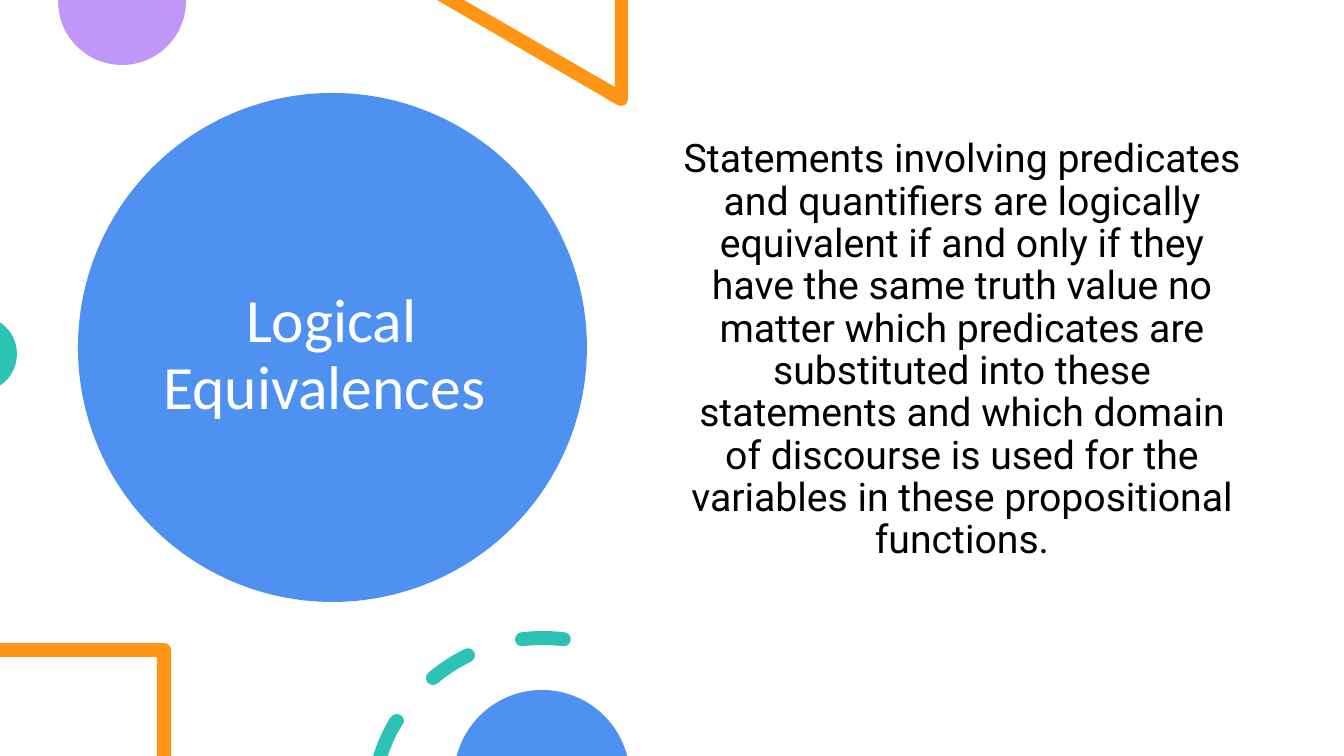
import math

import pptx
import pptx.dml.color
import pptx.enum.shapes
import pptx.enum.text
import pptx.util
import lxml.etree

PX = 9525 / 1.05
WIDTH, HEIGHT = 1344, 756
BLUE, TEAL, ORANGE, PURPLE, WHITE = "4E91F0", "2CC3B4", "FF9514", "C097F8", "FFFFFF"

prs = pptx.Presentation()
prs.slide_width = round(WIDTH * PX)
prs.slide_height = round(HEIGHT * PX)
s = prs.slides.add_slide(prs.slide_layouts[1])


def paint(fill, colour):
    fill.solid()
    fill.fore_color.rgb = pptx.dml.color.RGBColor.from_string(colour)


def arc(cx, cy, radius, start, end):
    count = math.ceil(abs(end - start) / 90)
    step = math.radians(end - start) / count
    reach = 4 / 3 * math.tan(step / 4)
    segments = [[(cx + radius * math.cos(math.radians(start)),
                  cy + radius * math.sin(math.radians(start)))]]
    for i in range(count):
        a = math.radians(start) + i * step
        b = a + step
        units = [(math.cos(a) - reach * math.sin(a), math.sin(a) + reach * math.cos(a)),
                 (math.cos(b) + reach * math.sin(b), math.sin(b) - reach * math.cos(b)),
                 (math.cos(b), math.sin(b))]
        segments.append([(cx + radius * x, cy + radius * y) for x, y in units])
    return segments


def place(sp, box):
    sp.left, sp.top, sp.width, sp.height = [round(v * PX) for v in box]


shape_types = pptx.enum.shapes.MSO_SHAPE
panels = [(shape_types.RECTANGLE, (0, 0, WIDTH, HEIGHT), WHITE),
          (shape_types.OVAL, (78, 93, 509, 509), BLUE)]
for i, (kind, box, colour) in enumerate(panels):
    sp = s.shapes.add_shape(kind, 0, 0, 0, 0)
    place(sp, box)
    sp.shadow.inherit = False
    paint(sp.fill, colour)
    sp.line.fill.background()
    s.shapes._spTree.insert(2 + i, sp._element)

texts = [
    (s.shapes.title, (153, 136, 357, 449), (5, 14), "Logical Equivalences ",
     "Calibri", 44, WHITE, pptx.enum.text.MSO_ANCHOR.MIDDLE),
    (s.placeholders[1], (672, 133, 580, 494), (6, 5),
     "Statements involving predicates and quantifiers are logically equivalent "
     "if and only if they have the same truth value no matter which predicates "
     "are substituted into these statements and which domain of discourse is "
     "used for the variables in these propositional functions.",
     "Roboto", 28, "000000", pptx.enum.text.MSO_ANCHOR.TOP),
]
for sp, box, margins, text, font, size, colour, anchor in texts:
    place(sp, box)
    tf = sp.text_frame
    tf.word_wrap = True
    tf.auto_size = pptx.enum.text.MSO_AUTO_SIZE.NONE
    tf.vertical_anchor = anchor
    tf.margin_top, tf.margin_bottom = [round(v * PX) for v in margins]
    p = tf.paragraphs[0]
    pPr = p._p.get_or_add_pPr()
    pPr.set("marL", "0")
    pPr.set("indent", "0")
    lxml.etree.SubElement(pPr, pptx.oxml.ns.qn("a:buNone"))
    p.alignment = pptx.enum.text.PP_ALIGN.CENTER
    p.line_spacing = 0.9
    p.space_before = pptx.util.Pt(0)
    r = p.add_run()
    r.text = text
    r.font.name = font
    r.font.size = pptx.util.Pt(size)
    paint(r.font.fill, colour)

dash_x, dash_y, dash_radius, cap = 543, 809, 171, 7
dashes = [arc(dash_x, dash_y, 178, 197.3, 211) + arc(397, 721, cap, 211, 391)
          + arc(dash_x, dash_y, 164, 211, 198.9)]
for start, end in [(230, 244), (263, 277)]:
    caps = [(dash_x + dash_radius * math.cos(math.radians(a)),
             dash_y + dash_radius * math.sin(math.radians(a)), cap, a + turn, a + turn + 180)
            for a, turn in [(end, 0), (start, 180)]]
    dashes.append(arc(dash_x, dash_y, dash_radius + cap, start, end) + arc(*caps[0])
                  + arc(dash_x, dash_y, dash_radius - cap, end, start) + arc(*caps[1]))

decorations = [
    (PURPLE, [[[(186, 0)]] + arc(122, 1, 64, 0, 180) + [[(58, 0)]]]),
    (ORANGE, [[[(437, 0)]] + arc(621, 99, 7, 120, 0)
              + [[(628, 0)], [(615, 0)], [(615, 87)], [(464, 0)]]]),
    (TEAL, [arc(-21, 354, 38, -56, 56)]),
    (ORANGE, [[[(0, 643)]] + arc(164, 650, 7, -90, 0)
              + [[(171, 756)], [(157, 756)], [(157, 657)], [(0, 657)]]]),
    (TEAL, dashes),
    (BLUE, [arc(542, 778, 88, 194.5, 345.5)]),
]
for colour, outlines in decorations:
    builder = None
    for outline in outlines:
        points = [(round(x * PX), round(y * PX)) for segment in outline for x, y in segment]
        if builder is None:
            builder = s.shapes.build_freeform(*points[0])
        else:
            builder.move_to(*points[0])
        builder.add_line_segments(points[1:], close=True)
    sp = builder.convert_to_shape()
    lines = iter(list(sp._element.iter(pptx.oxml.ns.qn("a:lnTo"))))
    for segment in [segment for outline in outlines for segment in outline[1:]]:
        line = next(lines)
        if len(segment) == 3:
            curve = lxml.etree.Element(pptx.oxml.ns.qn("a:cubicBezTo"))
            line.addprevious(curve)
            for part in (line, next(lines), next(lines)):
                curve.append(part[0])
                part.getparent().remove(part)
    sp.shadow.inherit = False
    paint(sp.fill, colour)
    sp.line.fill.background()

prs.save("out.pptx")
